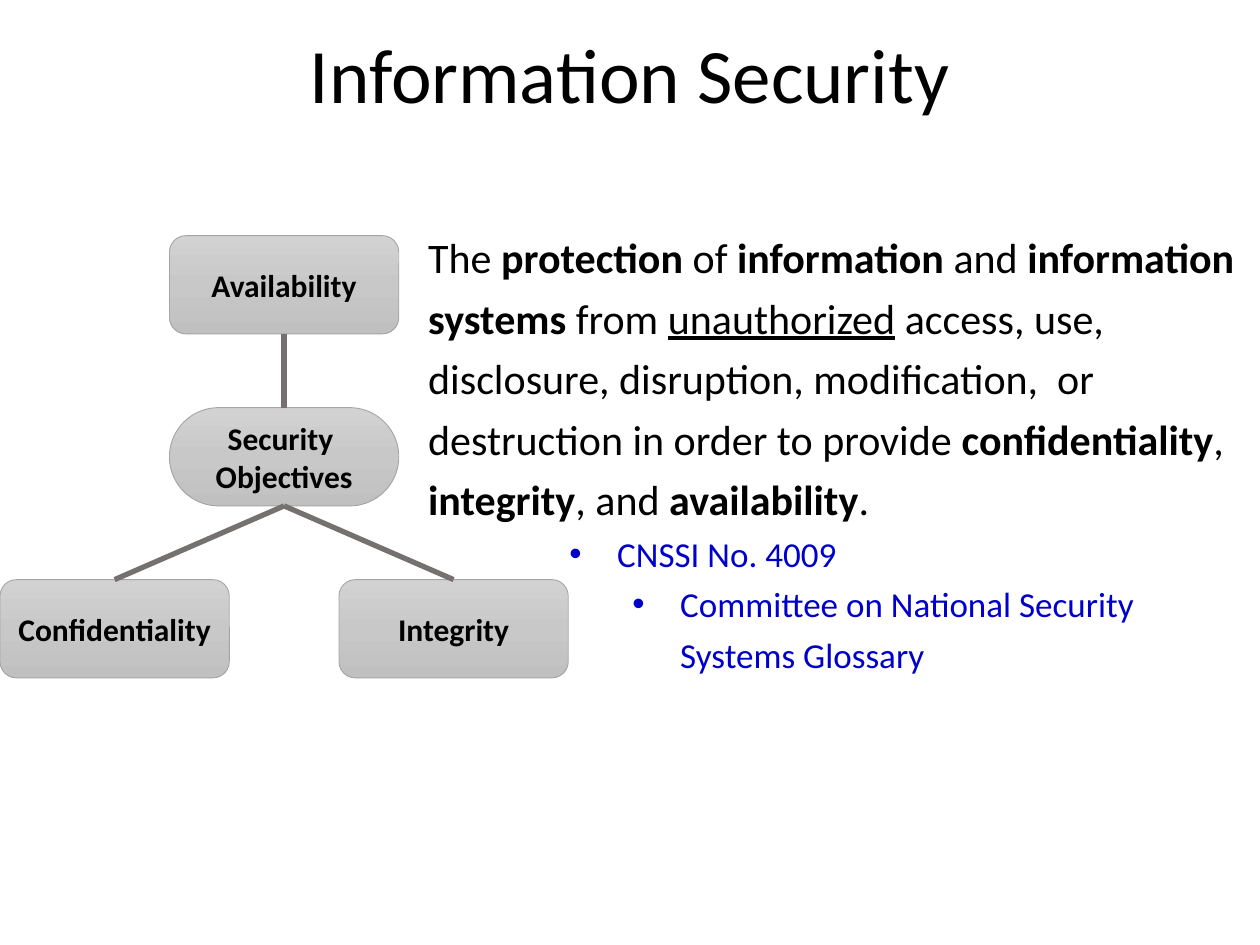
from copy import deepcopy
from lxml.etree import SubElement
from pptx import Presentation
from pptx.dml.color import RGBColor
from pptx.enum.shapes import MSO_CONNECTOR, MSO_SHAPE
from pptx.enum.text import MSO_ANCHOR, PP_ALIGN
from pptx.oxml.ns import qn
from pptx.util import Inches, Pt

HUES = {"text": "000000", "note": "0000CC", "edge": "A5A5A5", "link": "767171",
        "light": "D2D2D2", "mid": "C8C8C8", "dark": "C0C0C0"}
FONT = "Calibri"


def hue(name):
    """Return the named colour."""
    return RGBColor.from_string(HUES[name])


def add_run(para, text, size, color="text", style=""):
    """Add one run; style holds b for bold and u for underline."""
    run = para.add_run()
    run.text = text
    font = run.font
    font.name, font.size = FONT, Pt(size)
    font.bold, font.underline = "b" in style, "u" in style
    font.color.rgb = hue(color)


def add_text(slide, box):
    """Add a wrapping text box and return its frame."""
    frame = slide.shapes.add_textbox(*map(Inches, box)).text_frame
    frame.word_wrap = True
    return frame


def add_title(slide, box, text):
    """Place the centred slide title."""
    frame = add_text(slide, box)
    frame.vertical_anchor = MSO_ANCHOR.MIDDLE
    para = frame.paragraphs[0]
    para.alignment, para.line_spacing = PP_ALIGN.CENTER, 0.9
    add_run(para, text, 44)


def add_list(slide, box, items):
    """Place bulleted paragraphs given as level, indent, size, colour and runs."""
    frame = add_text(slide, box)
    for pos, (level, left, size, color, runs) in enumerate(items):
        para = frame.add_paragraph() if pos else frame.paragraphs[0]
        para.level, para.line_spacing = level, 1.2
        props = para._p.get_or_add_pPr()
        props.set("marL", str(Inches(left)))
        props.set("indent", str(Inches(-0.38)))
        SubElement(props, qn("a:buFont"), typeface="Arial")
        SubElement(props, qn("a:buChar"), char="•")
        for text, style in runs:
            add_run(para, text, size, color, style)


def add_node(slide, box, lines, curve=None):
    """Place one shaded round box with centred bold lines."""
    node = slide.shapes.add_shape(MSO_SHAPE.ROUNDED_RECTANGLE, *map(Inches, box))
    node.shadow.inherit = False
    if curve:
        node.adjustments[0] = curve
    node.fill.gradient()
    node.fill.gradient_angle = 270
    stops = node._element.spPr.find(qn("a:gradFill")).find(qn("a:gsLst"))
    stops.insert(1, deepcopy(stops[0]))
    shades = zip(node.fill.gradient_stops, (0, 0.5, 1), ("light", "mid", "dark"))
    for stop, place, shade in shades:
        stop.position, stop.color.rgb = place, hue(shade)
    node.line.color.rgb, node.line.width = hue("edge"), Pt(0.5)
    frame = node.text_frame
    frame.word_wrap, frame.vertical_anchor = True, MSO_ANCHOR.MIDDLE
    for pos, text in enumerate(lines):
        para = frame.add_paragraph() if pos else frame.paragraphs[0]
        para.alignment = PP_ALIGN.CENTER
        add_run(para, text, 18, style="b")
    return node


def add_link(slide, start, site, end, goal):
    """Join two nodes with a plain line."""
    link = slide.shapes.add_connector(MSO_CONNECTOR.STRAIGHT, 0, 0, 0, 0)
    link.begin_connect(start, site)
    link.end_connect(end, goal)
    link.line.color.rgb, link.line.width = hue("link"), Pt(3)
    SubElement(link._element.spPr, qn("a:effectLst"))


def add_tree(slide, box):
    """Place the hub, the three goals around it and their links."""
    left, top, width, height = box
    wide, high = 1.82, 0.78
    mid, right = left + (width - wide) / 2, left + width - wide
    step = (height - high) / 2
    above = add_node(slide, (mid, top, wide, high), ["Availability"])
    hub = add_node(slide, (mid, top + step, wide, high),
                   ["Security ", "Objectives"], 0.5)
    low = top + 2 * step
    below = [add_node(slide, (x, low, wide, high), [text])
             for x, text in ((left, "Confidentiality"), (right, "Integrity"))]
    add_link(slide, above, 2, hub, 0)
    for node in below:
        add_link(slide, node, 0, hub, 2)


def main():
    """Build and save the slide."""
    deck = Presentation()
    deck.slide_width, deck.slide_height = Inches(10), Inches(7.5)
    slide = deck.slides.add_slide(deck.slide_layouts[6])
    add_title(slide, (0, 0, 10, 1.25), "Information Security")
    meaning = [
        ("The ", ""), ("protection", "b"), (" of ", ""), ("information", "b"),
        (" and ", ""), ("information systems ", "b"), ("from ", ""),
        ("unauthorized", "u"),
        (" access, use, disclosure, disruption, modification,  or "
         "destruction in order to provide ", ""),
        ("confidentiality", "b"), (", ", ""), ("integrity", "b"),
        (", and ", ""), ("availability", "b"), (".", "")]
    glossary = "Committee on National Security Systems Glossary"
    add_list(slide, (2.92, 1.71, 7.08, 3.71), [
        (0, 0.38, 24, "text", meaning),
        (3, 1.88, 20, "note", [("CNSSI No. 4009", "")]),
        (4, 2.38, 20, "note", [(glossary, "")])])
    add_tree(slide, (0, 1.87, 4.51, 3.51))
    deck.save("out.pptx")


if __name__ == "__main__":
    main()
